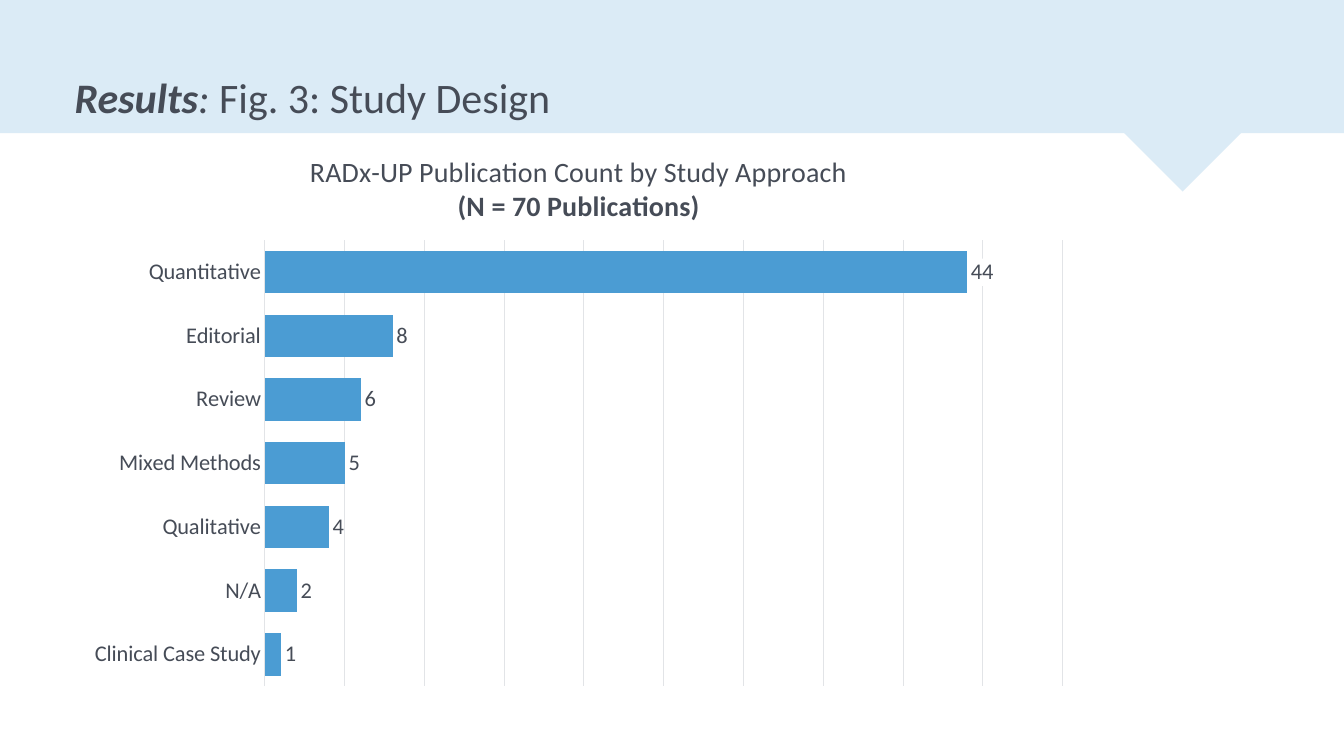
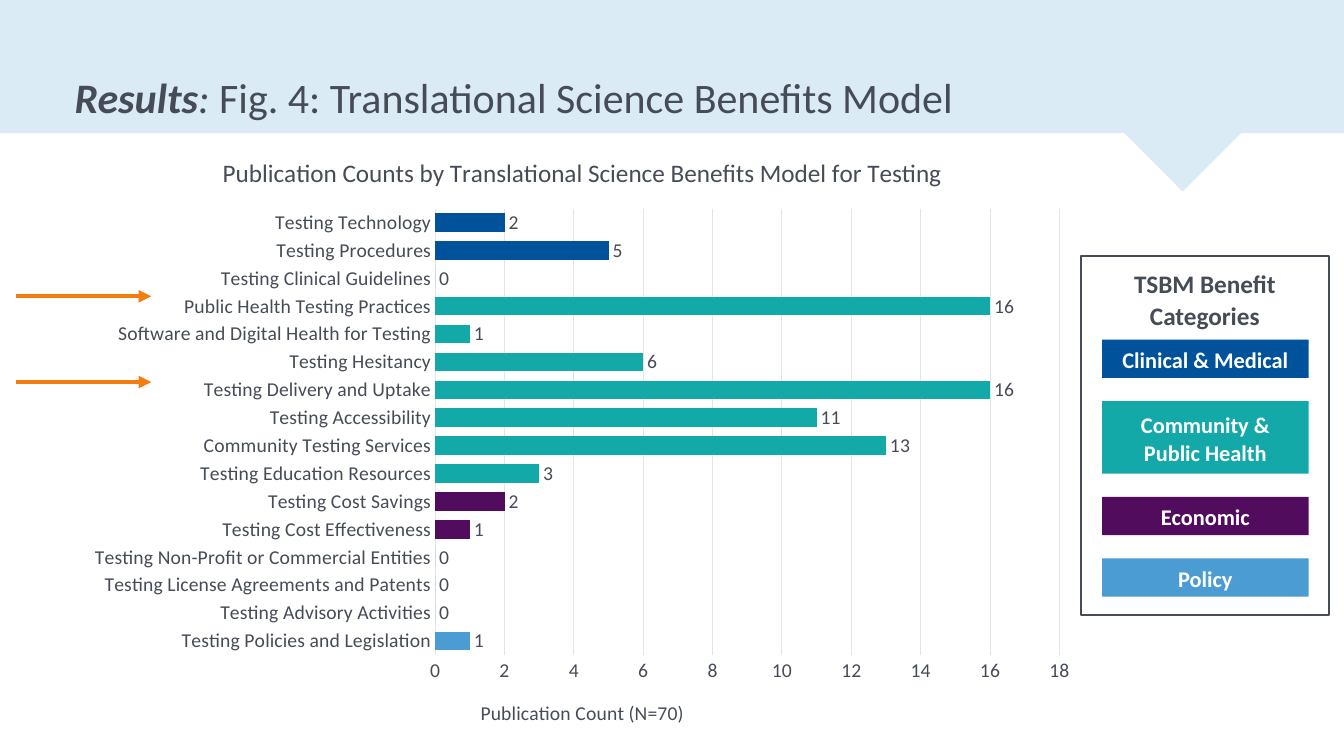
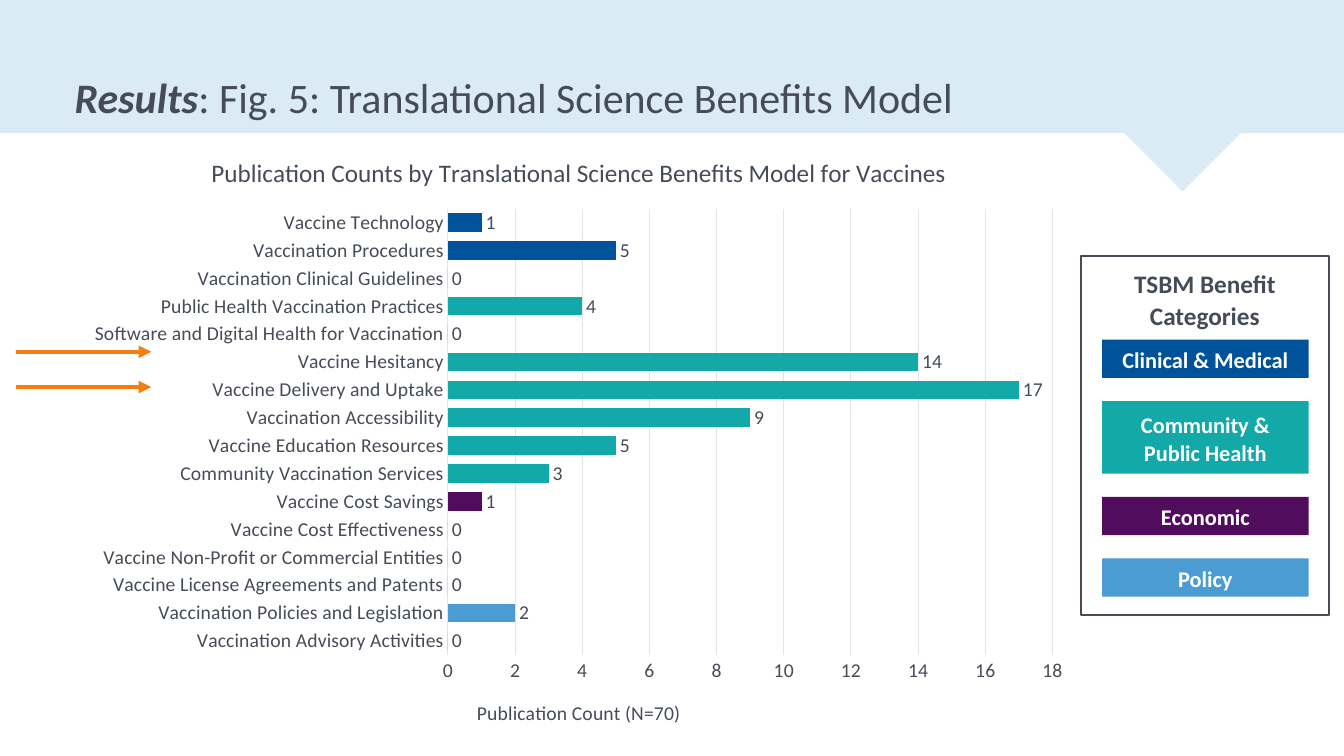
import pptx
import pptx.chart.data
import pptx.dml.color
import pptx.enum.chart
import pptx.enum.shapes
import pptx.enum.text
import pptx.oxml
import pptx.oxml.ns
import pptx.util

Inches, Pt = pptx.util.Inches, pptx.util.Pt
RGB = pptx.dml.color.RGBColor
SHAPE = pptx.enum.shapes.MSO_SHAPE
ANCHOR = pptx.enum.text.MSO_ANCHOR
ALIGN = pptx.enum.text.PP_ALIGN
XL = pptx.enum.chart

FONT = "Calibri"
INK = RGB(0x46, 0x4C, 0x57)
WHITE = RGB(0xFF, 0xFF, 0xFF)
BAND = RGB(0xDB, 0xEB, 0xF6)
GRID = RGB(0xE2, 0xE4, 0xE7)
ORANGE = RGB(0xF5, 0x7C, 0x0F)
NAVY = RGB(0x00, 0x53, 0x9B)
TEAL = RGB(0x14, 0xA9, 0xA9)
PURPLE = RGB(0x51, 0x0C, 0x5D)
BLUE = RGB(0x4B, 0x9C, 0xD3)

LEGEND = [  # label, colour, height
    ("Clinical & Medical", NAVY, 0.38),
    ("Community & Public Health", TEAL, 0.72),
    ("Economic", PURPLE, 0.38),
    ("Policy", BLUE, 0.38),
]

# Bars run from top to bottom, grouped by colour.
SLIDES = [
    dict(
        colon=": ", colon_italic=True, title="Fig. 3: Study Design",
        chart_title=["RADx-UP Publication Count by Study Approach", "(N = 70 Publications)"],
        title_size=20, label_size=16, size=(10, 5.6), axis=(50, 5), axis_title=None,
        label_fill=True, arrows=[],
        bars=[(BLUE, [
            ("Quantitative", 44), ("Editorial", 8), ("Review", 6), ("Mixed Methods", 5),
            ("Qualitative", 4), ("N/A", 2), ("Clinical Case Study", 1)])],
    ),
    dict(
        colon=": ", colon_italic=True, title="Fig. 4: Translational Science Benefits Model",
        chart_title=["Publication Counts by Translational Science Benefits Model for Testing"],
        title_size=18, label_size=14, size=(10.07, 6.1), axis=(18, 2),
        axis_title="Publication Count (N=70)", label_fill=False, arrows=[2.94, 3.79],
        bars=[
            (NAVY, [("Testing Technology", 2), ("Testing Procedures", 5),
                    ("Testing Clinical Guidelines", 0)]),
            (TEAL, [("Public Health Testing Practices", 16),
                    ("Software and Digital Health for Testing", 1), ("Testing Hesitancy", 6),
                    ("Testing Delivery and Uptake", 16), ("Testing Accessibility", 11),
                    ("Community Testing Services", 13), ("Testing Education Resources", 3)]),
            (PURPLE, [("Testing Cost Savings", 2), ("Testing Cost Effectiveness", 1),
                      ("Testing Non-Profit or Commercial Entities", 0),
                      ("Testing License Agreements and Patents", 0)]),
            (BLUE, [("Testing Advisory Activities", 0), ("Testing Policies and Legislation", 1)]),
        ],
    ),
    dict(
        colon=": ", colon_italic=False, title="Fig. 5: Translational Science Benefits Model",
        chart_title=["Publication Counts by Translational Science Benefits Model for Vaccines"],
        title_size=18, label_size=14, size=(10, 6.1), axis=(18, 2),
        axis_title="Publication Count (N=70)", label_fill=False, arrows=[3.49, 3.84],
        bars=[
            (NAVY, [("Vaccine Technology", 1), ("Vaccination Procedures", 5),
                    ("Vaccination Clinical Guidelines", 0)]),
            (TEAL, [("Public Health Vaccination Practices", 4),
                    ("Software and Digital Health for Vaccination", 0), ("Vaccine Hesitancy", 14),
                    ("Vaccine Delivery and Uptake", 17), ("Vaccination Accessibility", 9),
                    ("Vaccine Education Resources", 5), ("Community Vaccination Services", 3)]),
            (PURPLE, [("Vaccine Cost Savings", 1), ("Vaccine Cost Effectiveness", 0),
                      ("Vaccine Non-Profit or Commercial Entities", 0),
                      ("Vaccine License Agreements and Patents", 0)]),
            (BLUE, [("Vaccination Policies and Legislation", 2),
                    ("Vaccination Advisory Activities", 0)]),
        ],
    ),
]


def set_font(font, size, color=INK, bold=False, italic=False):
    font.name, font.size, font.bold, font.italic = FONT, Pt(size), bold, italic
    font.color.rgb = color


def add_run(p, text, **fmt):
    r = p.add_run()
    r.text = text
    set_font(r.font, **fmt)


def set_text(sp, runs, anchor=ANCHOR.MIDDLE, align=ALIGN.CENTER, spacing=1.06,
             insets=(0.1, 0.1, 0.1, 0.1)):
    """Fill a shape with one paragraph of (text, font format) runs."""
    tf = sp.text_frame
    tf.word_wrap = True
    tf.vertical_anchor = anchor
    tf.margin_left, tf.margin_top, tf.margin_right, tf.margin_bottom = map(Inches, insets)
    p = tf.paragraphs[0]
    p.alignment, p.line_spacing = align, spacing
    for text, fmt in runs:
        add_run(p, text, **fmt)


def add_box(s, kind, x, y, w, h, fill=None, line=None):
    sp = s.shapes.add_shape(kind, Inches(x), Inches(y), Inches(w), Inches(h))
    sp.shadow.inherit = False
    if fill is None:
        sp.fill.background()
    else:
        sp.fill.solid()
        sp.fill.fore_color.rgb = fill
    if line is None:
        sp.line.fill.background()
    else:
        sp.line.color.rgb, sp.line.width = line, Pt(1.5)
    return sp


def add_header(s, spec):
    add_box(s, SHAPE.RECTANGLE, 0, 0, 13.35, 1.32, BAND)
    add_box(s, SHAPE.ISOSCELES_TRIANGLE, 11.15, 1.32, 1.16, 0.58, BAND).rotation = 180
    title = s.shapes.add_textbox(Inches(0.74), 0, Inches(11.86), Inches(1.32))
    set_text(title, [("Results", dict(size=30, bold=True, italic=True)),
                     (spec["colon"], dict(size=30, italic=spec["colon_italic"])),
                     (spec["title"], dict(size=30))],
             anchor=ANCHOR.BOTTOM, align=ALIGN.LEFT, spacing=0.93, insets=(0, 0, 0, 0.1))


def add_gridlines(axis):
    axis.has_major_gridlines = True
    line = axis.major_gridlines.format.line
    line.color.rgb, line.width = GRID, Pt(0.75)


def fill_labels(labels, color):
    sp_pr = pptx.oxml.parse_xml(
        f'<c:spPr {pptx.oxml.ns.nsdecls("c", "a")}><a:solidFill>'
        f'<a:srgbClr val="{color}"/></a:solidFill></c:spPr>')
    labels._element.find(pptx.oxml.ns.qn("c:txPr")).addprevious(sp_pr)


def add_bar_chart(s, spec):
    # A bar chart plots its first category at the bottom.
    bars = [(name, value, color) for color, rows in spec["bars"] for name, value in rows][::-1]
    data = pptx.chart.data.CategoryChartData()
    data.categories = [name for name, _, _ in bars]
    data.add_series("Series 1", [value for _, value, _ in bars])
    w, h = spec["size"]
    chart = s.shapes.add_chart(XL.XL_CHART_TYPE.BAR_CLUSTERED, Inches(0.74), Inches(1.32),
                               Inches(w), Inches(h), data).chart
    set_font(chart.font, 10)
    chart.has_legend = False
    chart.has_title = True
    tf = chart.chart_title.text_frame
    for i, text in enumerate(spec["chart_title"]):
        p = tf.add_paragraph() if i else tf.paragraphs[0]
        add_run(p, text, size=spec["title_size"], bold=i > 0)

    plot = chart.plots[0]
    plot.gap_width = 50
    plot.vary_by_categories = False
    series = plot.series[0]
    series.format.fill.solid()
    series.format.fill.fore_color.rgb = BLUE
    for i, (_, value, color) in enumerate(bars):
        if value and color != BLUE:
            fill = series.points[i].format.fill
            fill.solid()
            fill.fore_color.rgb = color
    labels = series.data_labels
    labels.show_value = True
    labels.position = XL.XL_LABEL_POSITION.OUTSIDE_END
    set_font(labels.font, spec["label_size"])
    if spec["label_fill"]:
        fill_labels(labels, WHITE)

    names, counts = chart.category_axis, chart.value_axis
    for axis in (names, counts):
        axis.major_tick_mark = axis.minor_tick_mark = XL.XL_TICK_MARK.NONE
        set_font(axis.tick_labels.font, spec["label_size"])
    names.format.line.color.rgb, names.format.line.width = GRID, Pt(0.75)
    counts.format.line.fill.background()
    counts.minimum_scale = 0
    counts.maximum_scale, counts.major_unit = spec["axis"]
    add_gridlines(counts)
    if spec["axis_title"]:
        counts.has_title = True
        add_run(counts.axis_title.text_frame.paragraphs[0], spec["axis_title"],
                size=spec["label_size"])
    else:
        counts.visible = False


def add_legend(s):
    panel = add_box(s, SHAPE.RECTANGLE, 10.72, 2.54, 2.46, 3.56, line=INK)
    set_text(panel, [("TSBM Benefit Categories", dict(size=18, bold=True))], anchor=ANCHOR.TOP)
    y = 3.37
    for label, color, height in LEGEND:
        sp = add_box(s, SHAPE.RECTANGLE, 10.93, y, 2.05, height, color)
        set_text(sp, [(label, dict(size=16, color=WHITE, bold=True))])
        y += height + 0.23


def add_arrow(s, y):
    arrow = s.shapes.add_connector(pptx.enum.shapes.MSO_CONNECTOR.STRAIGHT,
                                   Inches(0.16), Inches(y), Inches(1.5), Inches(y))
    arrow.line.color.rgb, arrow.line.width = ORANGE, Pt(3)
    ns = pptx.oxml.ns.nsdecls("a")
    arrow.line._get_or_add_ln().append(pptx.oxml.parse_xml(f'<a:tailEnd {ns} type="triangle"/>'))
    arrow._element.spPr.append(pptx.oxml.parse_xml(f"<a:effectLst {ns}/>"))


def main():
    prs = pptx.Presentation()
    prs.slide_width, prs.slide_height = Inches(13.33), Inches(7.5)
    for spec in SLIDES:
        s = prs.slides.add_slide(prs.slide_layouts[6])
        add_header(s, spec)
        add_bar_chart(s, spec)
        if spec["arrows"]:
            add_legend(s)
        for y in spec["arrows"]:
            add_arrow(s, y)
    prs.save("out.pptx")


if __name__ == "__main__":
    main()
